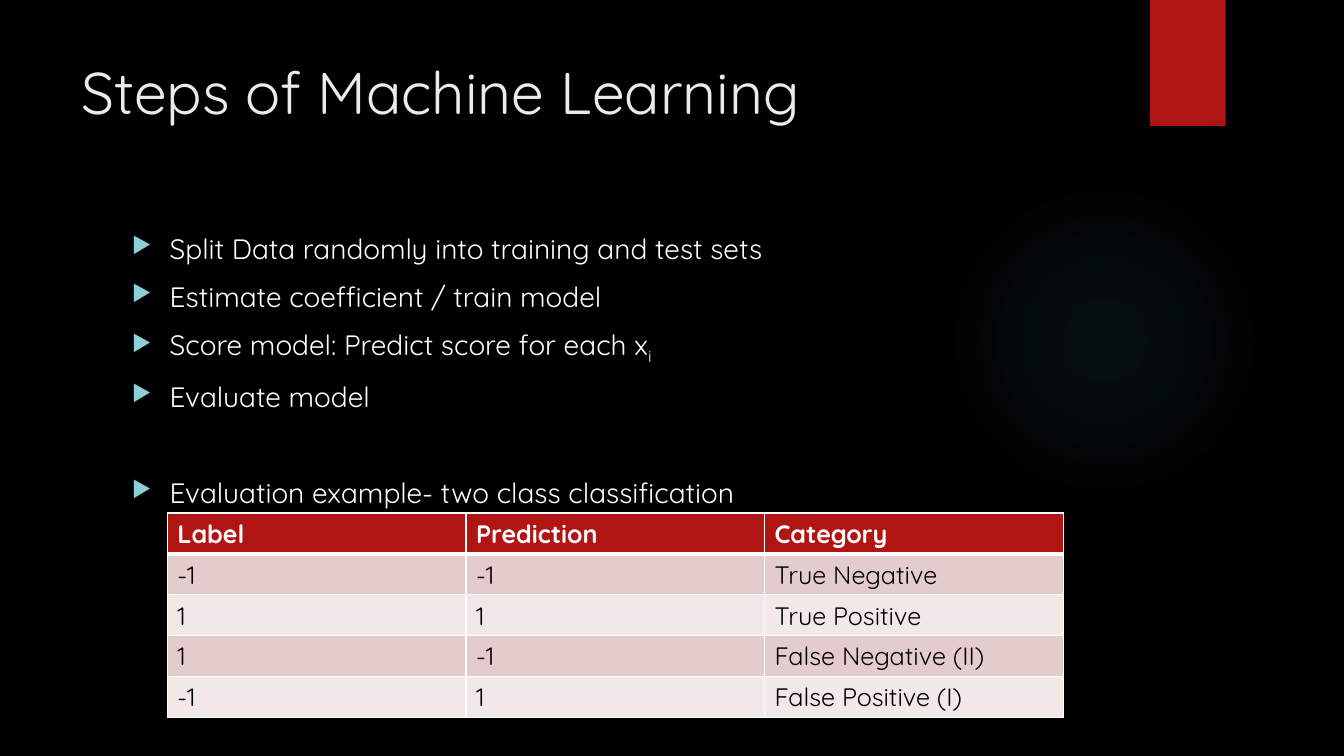
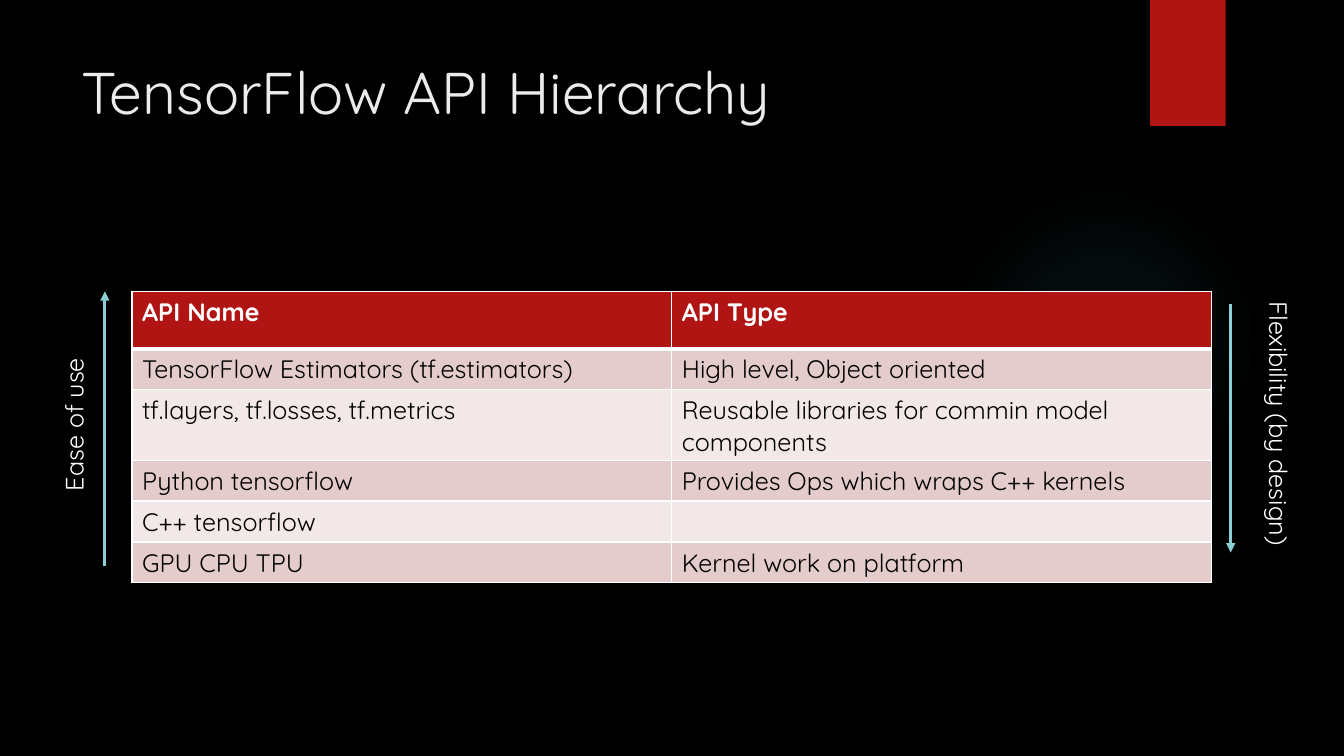
"""Build two machine learning slides: the steps with an evaluation table, and the TensorFlow API hierarchy."""
from dataclasses import dataclass

from lxml.etree import SubElement
from pptx import Presentation
from pptx.dml.color import RGBColor as RGB
from pptx.enum.shapes import MSO_CONNECTOR as CONNECTOR, MSO_SHAPE as SHAPE
from pptx.oxml import parse_xml
from pptx.oxml.ns import nsdecls, qn
from pptx.util import Pt


@dataclass(frozen=True)
class Theme:
    font: str = "Quicksand"
    black: RGB = RGB(0x00, 0x00, 0x00)
    white: RGB = RGB(0xFF, 0xFF, 0xFF)
    heading: RGB = RGB(0xEB, 0xEB, 0xEB)
    red: RGB = RGB(0xB0, 0x15, 0x13)
    aqua: RGB = RGB(0x8A, 0xD0, 0xD6)
    glow: RGB = RGB(0x50, 0xB9, 0xC1)
    band_dark: RGB = RGB(0xE4, 0xCC, 0xCC)
    band_light: RGB = RGB(0xF2, 0xE8, 0xE7)
    title_size: Pt = Pt(42)
    body_size: Pt = Pt(20)
    small_size: Pt = Pt(18)


theme = Theme()
title_style = {"size": theme.title_size, "color": theme.heading}
body_style = {"size": theme.body_size, "color": theme.white}
label_style = {"size": theme.small_size, "color": theme.white}
header_style = {**label_style, "bold": True}
cell_style = {"size": theme.small_size, "color": theme.black, "bold": False}


def add_run(paragraph, text, style):
    """Add a run with the format values of a style."""
    run = paragraph.add_run()
    run.text = text
    for name, value in {"name": theme.font, **style}.items():
        if name == "color":
            run.font.color.rgb = value
        else:
            setattr(run.font, name, value)
    return run


def add_banded_table(slide, left, top, width, header_height, rows):
    """Add a table with a red header, banded rows and white borders."""
    row_height = 29.2
    height = header_height + row_height * (len(rows) - 1)
    table = slide.shapes.add_table(
        len(rows), len(rows[0]), Pt(left), Pt(top), Pt(width), Pt(height)).table
    for row_index, texts in enumerate(rows):
        is_header = row_index == 0
        table.rows[row_index].height = Pt(header_height if is_header else row_height)
        band = theme.band_dark if row_index % 2 else theme.band_light
        for column_index, text in enumerate(texts):
            cell = table.cell(row_index, column_index)
            properties = cell._tc.get_or_add_tcPr()
            for side in "LRTB":
                thick = (is_header and side == "B") or (row_index == 1 and side == "T")
                border = SubElement(properties, qn(f"a:ln{side}"), w=str(Pt(3 if thick else 1)))
                fill = SubElement(border, qn("a:solidFill"))
                SubElement(fill, qn("a:srgbClr"), val=str(theme.white))
            cell.fill.solid()
            cell.fill.fore_color.rgb = theme.red if is_header else band
            if text:
                add_run(cell.text_frame.paragraphs[0], text,
                        header_style if is_header else cell_style)


prs = Presentation()
prs.slide_width, prs.slide_height = Pt(960), Pt(540)

glow_stops = "".join(
    f'<a:gs pos="{position}000"><a:srgbClr val="{theme.glow}">'
    f'<a:alpha val="{alpha}000"/></a:srgbClr></a:gs>'
    for position, alpha in ((0, 7), (36, 6), (69, 0)))
glow_fill = (
    f'<a:gradFill {nsdecls("a")} rotWithShape="1"><a:gsLst>{glow_stops}</a:gsLst>'
    '<a:path path="circle"><a:fillToRect l="50000" t="50000" r="50000" b="50000"/></a:path>'
    '</a:gradFill>')

slides = []
for title in ("Steps of Machine Learning", "TensorFlow API Hierarchy"):
    slide = prs.slides.add_slide(prs.slide_layouts[6])
    slide.background.fill.solid()
    slide.background.fill.fore_color.rgb = theme.black

    glow = slide.shapes.add_shape(SHAPE.OVAL, Pt(677.5), Pt(131.8), Pt(221.8), Pt(221.8))
    glow._element.spPr.find(qn("a:prstGeom")).addnext(parse_xml(glow_fill))
    ribbon = slide.shapes.add_shape(SHAPE.RECTANGLE, Pt(821.5), Pt(0), Pt(54), Pt(90))
    ribbon.fill.solid()
    ribbon.fill.fore_color.rgb = theme.red
    for decoration in (glow, ribbon):
        decoration.line.fill.background()
        decoration.shadow.inherit = False

    heading = slide.shapes.add_textbox(Pt(51.1), Pt(36), Pt(740.9), Pt(110.2)).text_frame
    heading.word_wrap = True
    add_run(heading.paragraphs[0], title, title_style)
    slides.append(slide)

steps_slide, hierarchy_slide = slides

steps = (
    ("Split Data randomly into training and test sets", "", 10),
    ("Estimate coefficient / train model", "", 10),
    ("Score model: Predict score for each x", "i", 10),
    ("Evaluate model", "", 10),
    ("Evaluation example- two class classification", "", 45),
)
steps_frame = steps_slide.shapes.add_textbox(
    Pt(87.1), Pt(162), Pt(704.2), Pt(330.5)).text_frame
steps_frame.word_wrap = True
for index, (text, subscript, space_before) in enumerate(steps):
    step = steps_frame.add_paragraph() if index else steps_frame.paragraphs[0]
    step.space_before = Pt(space_before)
    properties = step._p.get_or_add_pPr()
    properties.set("marL", str(Pt(27)))
    properties.set("indent", str(Pt(-27)))
    bullet_color = SubElement(properties, qn("a:buClr"))
    SubElement(bullet_color, qn("a:srgbClr"), val=str(theme.aqua))
    SubElement(properties, qn("a:buSzPct"), val="80000")
    SubElement(properties, qn("a:buChar"), char="▶")
    add_run(step, text, body_style)
    if subscript:
        subscript_run = add_run(step, subscript, body_style)
        subscript_run._r.get_or_add_rPr().set("baseline", "-25000")

add_banded_table(steps_slide, 119.5, 366.5, 640, 29.2, (
    ("Label", "Prediction", "Category"),
    ("-1", "-1", "True Negative"),
    ("1", "1", "True Positive"),
    ("1", "-1", "False Negative (II)"),
    ("-1", "1", "False Positive (I)"),
))

add_banded_table(hierarchy_slide, 94.3, 208.1, 771.1, 41, (
    ("API Name", "API Type"),
    ("TensorFlow Estimators (tf.estimators)", "High level, Object oriented"),
    ("tf.layers, tf.losses, tf.metrics", "Reusable libraries for commin model components"),
    ("Python tensorflow", "Provides Ops which wraps C++ kernels"),
    ("C++ tensorflow", ""),
    ("GPU CPU TPU", "Kernel work on platform"),
))

scales = (
    ("Ease of use", "vert270", (38.2, 226.1, 36, 131.8), (74.9, 404.6, 74.9, 208.1)),
    ("Flexibility (by design)", "vert", (892.1, 208.1, 36, 205.2), (879.1, 217.4, 879.1, 394.6)),
)
for text, direction, label_box, arrow_ends in scales:
    label = hierarchy_slide.shapes.add_textbox(*map(Pt, label_box)).text_frame
    label.word_wrap = True
    label._txBody.bodyPr.set("vert", direction)
    add_run(label.paragraphs[0], text, label_style)

    arrow = hierarchy_slide.shapes.add_connector(CONNECTOR.STRAIGHT, *map(Pt, arrow_ends))
    arrow.line.color.rgb = theme.aqua
    arrow.line.width = Pt(2.25)
    SubElement(arrow.line._get_or_add_ln(), qn("a:tailEnd"), type="triangle")
    SubElement(arrow._element.spPr, qn("a:effectLst"))

prs.save("out.pptx")
